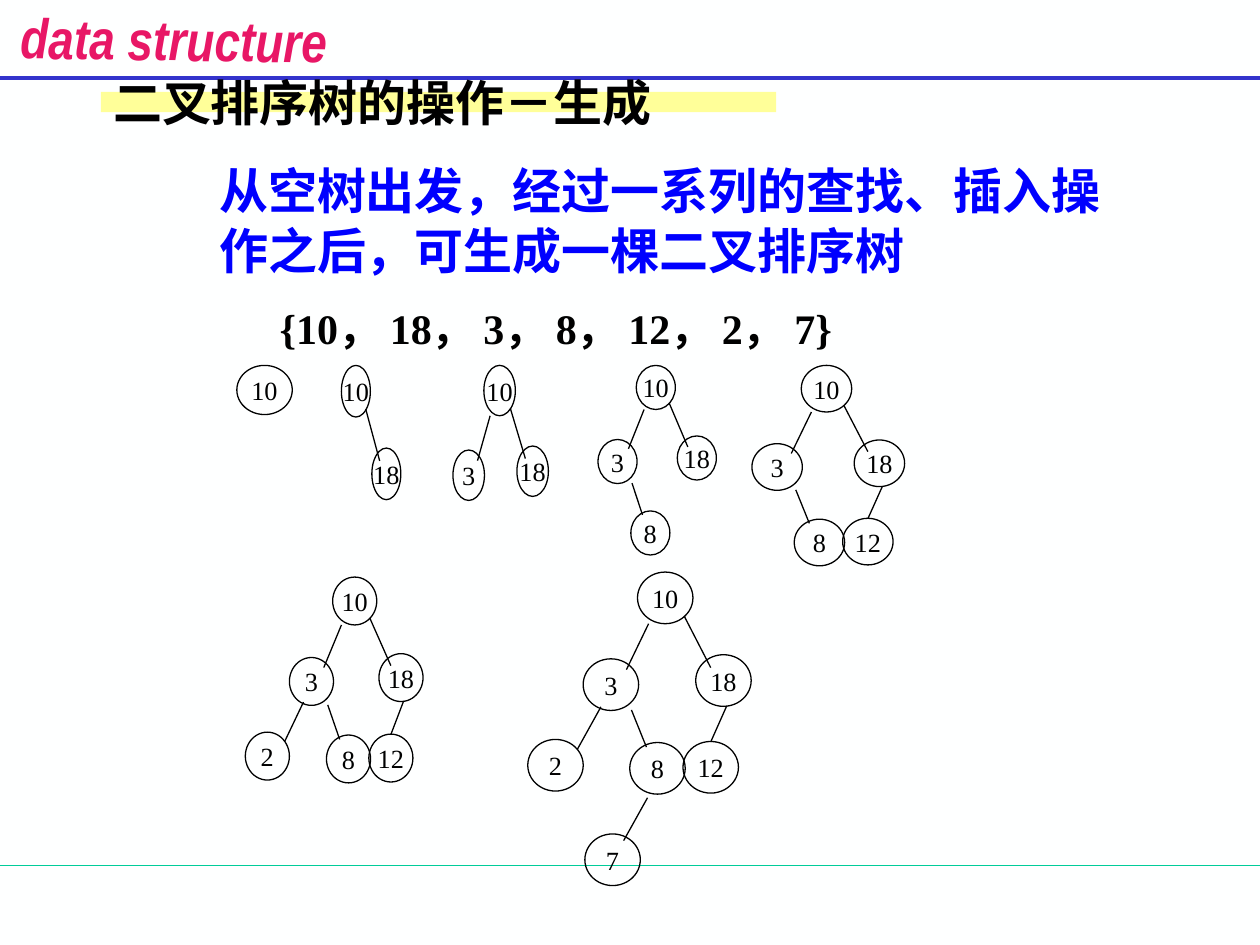
from lxml import etree
from pptx import Presentation
from pptx.dml.color import RGBColor
from pptx.enum.shapes import MSO_CONNECTOR, MSO_SHAPE
from pptx.enum.text import MSO_ANCHOR, PP_ALIGN
from pptx.oxml.ns import qn
from pptx.util import Inches, Pt

BACKGROUND = RGBColor(0xFE, 0xFF, 0xFF)
BLACK = RGBColor(0, 0, 0)
BLUE = RGBColor(0, 0, 0xFF)
RULE_BLUE = RGBColor(0x33, 0x33, 0xCC)
RULE_GREEN = RGBColor(0, 0xCC, 0x99)
PINK = RGBColor(0xE8, 0x17, 0x66)
YELLOW = RGBColor(0xFF, 0xFF, 0x99)

CHINESE_FONT = "Noto Sans CJK SC"

# Keys in insertion order: offset from the root and the edge to the parent,
# all measured in node widths and heights from the root's top left corner.
NODES = [
    (10, (0, 0), None),
    (18, (1.05, 1.6), (0.84, 0.85, 1.32, 1.85)),
    (3, (-0.98, 1.68), (0.2, 1, -0.2, 1.89)),
    (8, (-0.14, 3.3), (-0.11, 2.67, 0.16, 3.39)),
    (12, (0.82, 3.28), (1.61, 2.59, 1.32, 3.29)),
    (2, (-1.98, 3.24), (-0.66, 2.61, -1.09, 3.44)),
    (7, (-0.95, 5.07), (0.18, 4.37, -0.25, 5.2)),
]

# Root box (left, top, width, height) of the tree after each insertion.
ROOT_BOXES = [
    (1.88, 2.9, 0.44, 0.39),
    (2.71, 2.9, 0.23, 0.41),
    (3.84, 2.9, 0.25, 0.4),
    (5.05, 2.9, 0.31, 0.35),
    (6.36, 2.9, 0.4, 0.37),
    (2.64, 4.58, 0.35, 0.38),
    (5.06, 4.54, 0.44, 0.41),
]


def set_text(shape, text, size, font_name, color, bold=False, east_asian=None):
    shape.text_frame.text = text
    paragraph = shape.text_frame.paragraphs[0]
    run = paragraph.runs[0]
    run.font.size = Pt(size)
    run.font.name = font_name
    run.font.bold = bold
    run.font.color.rgb = color
    if east_asian:
        properties = run.font._element
        etree.SubElement(properties, qn("a:ea")).set("typeface", east_asian)
    return paragraph


def add_text_box(slide, box):
    shape = slide.shapes.add_textbox(*map(Inches, box))
    shape.text_frame.word_wrap = True
    return shape


def add_line(slide, start, end, color, width):
    line = slide.shapes.add_connector(
        MSO_CONNECTOR.STRAIGHT, *map(Inches, (*start, *end)))
    line.line.color.rgb = color
    line.line.width = Pt(width)
    etree.SubElement(line._element.spPr, qn("a:effectLst"))


def add_node(slide, key, box):
    node = slide.shapes.add_shape(MSO_SHAPE.OVAL, *map(Inches, box))
    node.shadow.inherit = False
    node.fill.background()
    node.line.color.rgb = BLACK
    node.line.width = Pt(0.75)
    node.text_frame.word_wrap = False
    node.text_frame.vertical_anchor = MSO_ANCHOR.MIDDLE
    paragraph = set_text(node, str(key), 15, "Times New Roman", BLACK)
    paragraph.alignment = PP_ALIGN.CENTER


def add_tree(slide, root_box, node_count):
    """Draw the tree that holds the first node_count keys."""
    left, top, width, height = root_box

    def locate(x, y):
        return left + x * width, top + y * height

    for key, offset, edge in NODES[:node_count]:
        add_node(slide, key, (*locate(*offset), width, height))
        if edge:
            add_line(slide, locate(*edge[:2]), locate(*edge[2:]), BLACK, 0.75)


def add_rules(slide):
    add_line(slide, (0, 6.87), (10, 6.87), RULE_GREEN, 0.75)
    add_line(slide, (0, 0.62), (10, 0.62), RULE_BLUE, 2.25)


def add_course_name(slide, box):
    course = add_text_box(slide, box)
    course.rotation = 0.8
    course.text_frame.margin_left = course.text_frame.margin_right = 0
    paragraph = set_text(course, "data structure", 32, "Arial Narrow", PINK, True)
    paragraph.alignment = PP_ALIGN.CENTER
    paragraph.runs[0].font.italic = True


def add_heading(slide, box):
    heading = slide.shapes.add_shape(MSO_SHAPE.RECTANGLE, *map(Inches, box))
    heading.shadow.inherit = False
    heading.fill.solid()
    heading.fill.fore_color.rgb = YELLOW
    heading.line.fill.background()
    heading.text_frame.vertical_anchor = MSO_ANCHOR.MIDDLE
    paragraph = set_text(heading, "二叉排序树的操作－生成", 28, CHINESE_FONT,
                         BLACK, True, CHINESE_FONT)
    paragraph.alignment = PP_ALIGN.LEFT


def add_explanation(slide, box):
    explanation = add_text_box(slide, box)
    explanation.text_frame.margin_left = Inches(1.22)
    paragraph = set_text(
        explanation, "从空树出发，经过一系列的查找、插入操作之后，可生成一棵二叉排序树",
        28, "Arial", BLUE, True, CHINESE_FONT)
    paragraph.line_spacing = Pt(34)


def add_key_sequence(slide, box):
    sequence = add_text_box(slide, box)
    sequence.text_frame.margin_left = Inches(0.27)
    sequence.text_frame.vertical_anchor = MSO_ANCHOR.BOTTOM
    keys = "， ".join(str(key) for key, _, _ in NODES)
    set_text(sequence, "{" + keys + "}", 24, "Times New Roman", BLACK, True,
             CHINESE_FONT)


def main():
    presentation = Presentation()
    presentation.slide_width = Inches(10)
    presentation.slide_height = Inches(7.5)
    slide = presentation.slides.add_slide(presentation.slide_layouts[6])
    slide.background.fill.solid()
    slide.background.fill.fore_color.rgb = BACKGROUND

    add_rules(slide)
    add_course_name(slide, (0.08, -0.01, 2.6, 0.54))
    add_key_sequence(slide, (1.95, 2.09, 6.24, 0.76))
    for node_count, root_box in enumerate(ROOT_BOXES, start=1):
        add_tree(slide, root_box, node_count)
    add_explanation(slide, (0.52, 1.22, 8.43, 1.04))
    add_heading(slide, (0.8, 0.73, 5.36, 0.16))
    presentation.save("out.pptx")


if __name__ == "__main__":
    main()
